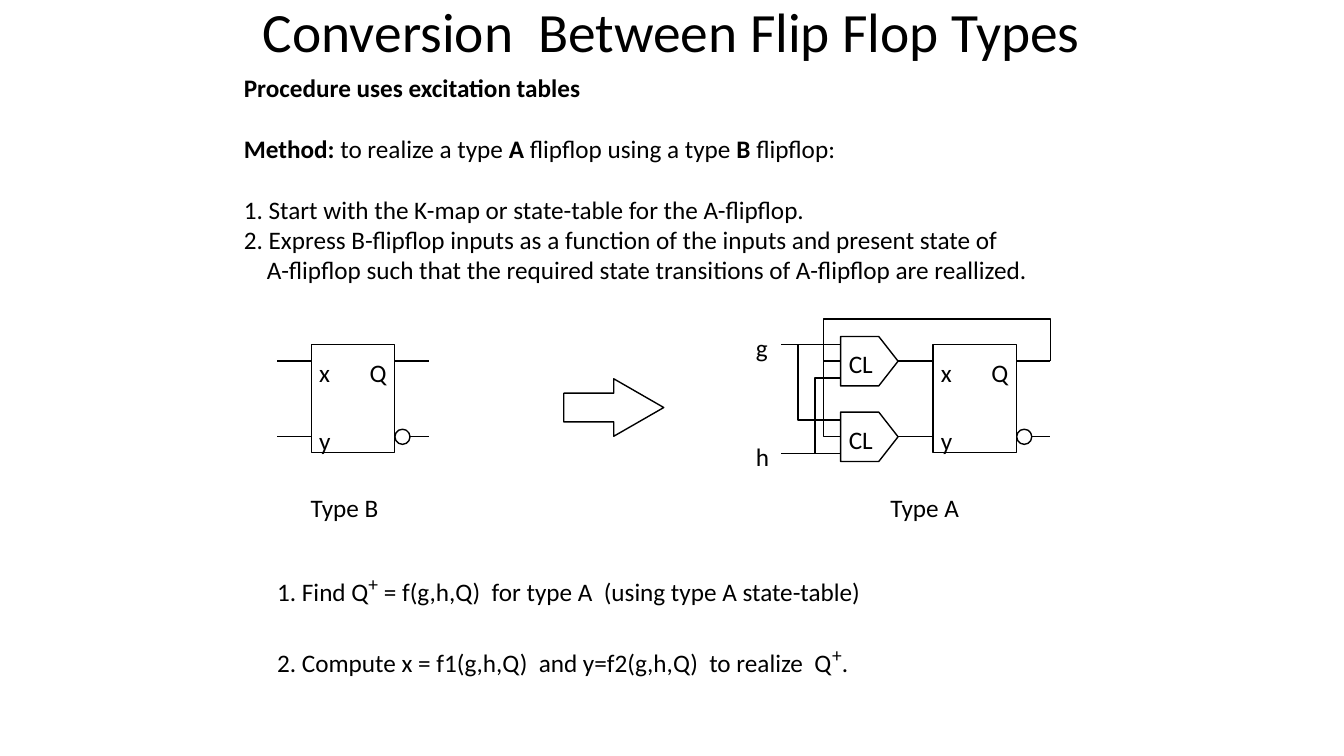
"""Build a slide on converting one flip-flop type into another."""
from lxml import etree
from pptx import Presentation, util as u
from pptx.dml.color import RGBColor
from pptx.enum import shapes, text
from pptx.oxml.ns import qn

INK, PAPER, FONT = "000000", "FFFFFF", "Calibri"
GRID = u.Inches(1) // 12
LINE_GAP = 22
INDENT = 0.23

TITLE = "Conversion  Between Flip Flop Types"
PROCEDURE = [
    {"runs": [("Procedure uses excitation tables", "bold")]},
    {"gap": LINE_GAP, "runs": [
        ("Method: ", "bold"), ("to realize a type ", ""), ("A", "bold"),
        (" flipflop using a type ", ""), ("B", "bold"), (" flipflop:", "")]},
    {"gap": LINE_GAP, "runs": [("1. Start with the K-map or state-table for the A-flipflop.", "")]},
    {"runs": [("2. Express B-flipflop inputs as a function of the inputs and present state of", "")]},
    {"indent": INDENT, "runs": [
        ("A-flipflop such that the required state transitions of A-flipflop are reallized.", "")]},
]
STEPS = [
    {"runs": [("1. Find Q", ""), ("+", "super"),
              (" = f(g,h,Q)  for type A  (using type A state-table)", "")]},
    {"gap": LINE_GAP, "runs": [
        ("2. Compute x = f1(g,h,Q)  and y=f2(g,h,Q)  to realize  Q", ""), ("+", "super"), (".", "")]},
]

TOP_ROW, BOTTOM_ROW = 43, 52
TYPE_B_COL, TYPE_A_COL, GATE_COL = 37, 111, 100
STUB = 4
PINS = [("x", -0.2, 42, 3.7), ("y", -0.2, 50, 3.7), ("Q", 5.8, 42, 4.4)]
INPUTS = [("g", 39, 41), ("h", 52, 54)]
CAPTIONS = [("Type B", 35.8), ("Type A", 104.8)]
BRANCHES = [
    [(97, 54), (97, 45), (GATE_COL, 45)],
    [(95, 41), (95, 50), (GATE_COL, 50)],
]
FEEDBACK = [(125, TOP_ROW), (125, 38), (98, 38), (98, BOTTOM_ROW), (GATE_COL, BOTTOM_ROW)]


def color(value):
    return RGBColor.from_string(value)


def place(*cells):
    return [int(cell * GRID) for cell in cells]


def add_span(para, words, size=18, style=""):
    span = para.add_run()
    span.text = words
    span.font.name = FONT
    span.font.size = u.Pt(24 if style == "super" else size)
    span.font.bold = style == "bold"
    span.font.color.rgb = color(INK)
    if style == "super":
        span.font._element.set("baseline", "30000")


def add_text(parent, cells, paragraphs, wrap=False):
    box = parent.add_textbox(*place(*cells))
    frame = box.text_frame
    frame.word_wrap = wrap
    frame.auto_size = text.MSO_AUTO_SIZE.SHAPE_TO_FIT_TEXT
    for number, content in enumerate(paragraphs):
        para = frame.add_paragraph() if number else frame.paragraphs[0]
        para.space_before = u.Pt(content.get("gap", 0))
        if "indent" in content:
            para._p.get_or_add_pPr().set("marL", str(u.Inches(content["indent"])))
        for words, style in content["runs"]:
            add_span(para, words, style=style)


def add_label(parent, words, col, row, width):
    add_text(parent, (col, row, width, 4.8), [{"runs": [(words, "")]}])


def outline(shape, fill=None):
    shape.shadow.inherit = False
    if fill:
        shape.fill.solid()
        shape.fill.fore_color.rgb = color(fill)
    else:
        shape.fill.background()
    shape.line.color.rgb = color(INK)
    shape.line.width = u.Pt(1)
    return shape


def add_outline(parent, kind, cells, fill=None):
    return outline(parent.add_shape(kind, *place(*cells)), fill)


def add_wire(parent, start, end, row):
    wire = parent.add_connector(shapes.MSO_CONNECTOR.STRAIGHT, *place(start, row, end, row))
    wire.line.color.rgb = color(INK)
    wire.line.width = u.Pt(1)
    etree.SubElement(wire._element.spPr, qn("a:effectLst"))
    return wire


def add_path(parent, points):
    builder = parent.build_freeform(*points[0], scale=GRID)
    builder.add_line_segments(points[1:], close=False)
    outline(builder.convert_to_shape())


def add_flipflop(parent, col):
    add_outline(parent, shapes.MSO_SHAPE.RECTANGLE, (col + 0.05, 41, 9.9, 12.9))
    inputs = []
    for row in (TOP_ROW, BOTTOM_ROW):
        inputs.append(add_wire(parent, col - STUB, col, row))
        add_wire(parent, col + 10, col + 10 + STUB, row)
    add_outline(parent, shapes.MSO_SHAPE.OVAL, (col + 10, BOTTOM_ROW - 0.9, 1.8, 1.8), PAPER)
    for name, shift, row, width in PINS:
        add_label(parent, name, col + shift, row, width)
    return inputs


def add_gate(parent, row, output):
    gate = add_outline(parent, shapes.MSO_SHAPE.PENTAGON, (GATE_COL + 0.05, row - 2.94, 6.84, 5.88))
    gate.adjustments[0] = 0.39
    output.begin_connect(gate, 3)
    add_label(parent, "CL", GATE_COL - 0.16, row - 2.1, 5.3)
    return gate


def main():
    deck = Presentation()
    deck.slide_width, deck.slide_height = u.Inches(13.33), u.Inches(7.5)
    page = deck.slides.add_slide(deck.slide_layouts[5])

    title = page.shapes.title
    title.left, title.top, title.width, title.height = place(30.1, 2.3, 101.3, 3.7)
    title.text_frame.auto_size = text.MSO_AUTO_SIZE.NONE
    title.text_frame.vertical_anchor = text.MSO_ANCHOR.MIDDLE
    heading = title.text_frame.paragraphs[0]
    heading.alignment = text.PP_ALIGN.LEFT
    heading.line_spacing = 0.9
    add_span(heading, TITLE, 39.6)
    add_text(page.shapes, (27.84, 8, 105.1, 26.6), PROCEDURE, wrap=True)

    add_flipflop(page.shapes.add_group_shape().shapes, TYPE_B_COL)
    type_a = page.shapes.add_group_shape().shapes
    outputs = add_flipflop(type_a, TYPE_A_COL)
    gates = [add_gate(type_a, row, wire) for row, wire in zip((TOP_ROW, BOTTOM_ROW), outputs)]
    for name, label_row, wire_row in INPUTS:
        add_wire(type_a, GATE_COL, 93, wire_row)
        add_label(type_a, name, 88.8, label_row, 3.9)
    for points in BRANCHES:
        add_path(type_a, points)

    for name, col in CAPTIONS:
        add_label(page.shapes, name, col, 58, 10.6)
    arrow = add_outline(page.shapes, shapes.MSO_SHAPE.RIGHT_ARROW, (67.1, 45.1, 11.9, 6.84))
    arrow.adjustments[0], arrow.adjustments[1] = 0.5, 0.87
    add_text(page.shapes, (31.8, 67, 72.8, 12.1), STEPS)
    add_path(page.shapes, FEEDBACK)
    add_wire(page.shapes, 98, GATE_COL, TOP_ROW).end_connect(gates[0], 1)

    deck.save("out.pptx")


if __name__ == "__main__":
    main()
